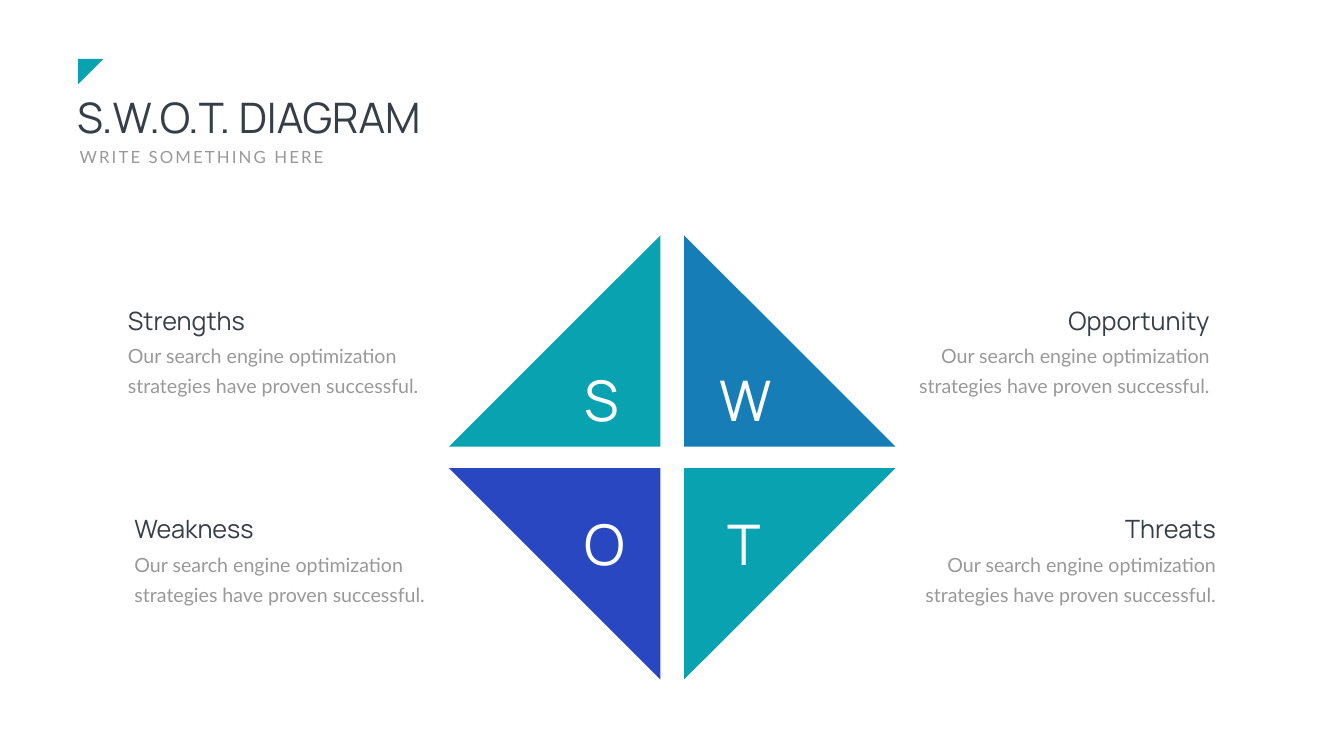
from pptx import Presentation
from pptx.dml.color import RGBColor
from pptx.enum.shapes import MSO_SHAPE
from pptx.enum.text import MSO_AUTO_SIZE, PP_ALIGN
from pptx.util import Pt

RIGHT_TRIANGLE = MSO_SHAPE.RIGHT_TRIANGLE
GROW = MSO_AUTO_SIZE.SHAPE_TO_FIT_TEXT
LEFT, CENTER, RIGHT = PP_ALIGN.LEFT, PP_ALIGN.CENTER, PP_ALIGN.RIGHT

TEAL = RGBColor(0x09, 0xA2, 0xB1)
BLUE = RGBColor(0x16, 0x7D, 0xB7)
INDIGO = RGBColor(0x28, 0x47, 0xC0)
DARK = RGBColor(0x36, 0x3E, 0x48)
GRAY = RGBColor(0x99, 0x99, 0x99)
WHITE = RGBColor(0xFF, 0xFF, 0xFF)

BODY = "Our search engine optimization strategies have proven successful."


class SlideBuilder:
    STYLES = {
        "title": {"name": "Manrope", "size": Pt(60), "color": DARK},
        "subtitle": {"name": "Lato", "size": Pt(24), "color": GRAY},
        "heading": {"name": "Manrope", "size": Pt(36), "color": DARK},
        "body": {"name": "Lato", "size": Pt(28), "color": GRAY},
        "letter": {"name": "Manrope", "size": Pt(80), "color": WHITE},
    }

    def __init__(self, page):
        self.page = page
        self.shapes = page.shapes

    def start_group(self):
        """Send the following elements into a new group."""
        self.shapes = self.page.shapes.add_group_shape().shapes

    def end_group(self):
        self.shapes = self.page.shapes

    def text(self, words, style, left, top, width, height, align=LEFT,
             wrap=False, line_spacing=None, tracking=None):
        box = self.shapes.add_textbox(Pt(left), Pt(top), Pt(width), Pt(height))
        frame = box.text_frame
        frame.word_wrap = wrap
        frame.auto_size = GROW
        para = frame.paragraphs[0]
        para.alignment = align
        if line_spacing:
            para.line_spacing = Pt(line_spacing)
        span = para.add_run()
        span.text = words
        for key, value in self.STYLES[style].items():
            if key == "color":
                span.font.color.rgb = value
            else:
                setattr(span.font, key, value)
        if tracking:
            span.font._element.set("spc", str(tracking * 100))

    def triangle(self, left, top, side, color, rotation):
        shape = self.shapes.add_shape(
            RIGHT_TRIANGLE, Pt(left), Pt(top), Pt(side), Pt(side))
        shape.shadow.inherit = False
        shape.fill.solid()
        shape.fill.fore_color.rgb = color
        shape.line.fill.background()
        shape.rotation = rotation

    def caption(self, heading, edge, top, heading_width, body_width, align):
        """Place a heading and its body against a shared outer edge."""
        def left(width):
            return edge - width if align == RIGHT else edge

        self.text(BODY, "body", left(body_width), top + 46.1, body_width, 90,
                  align, wrap=True, line_spacing=43)
        self.text(heading, "heading", left(heading_width), top,
                  heading_width, 51.1, align)


def main():
    deck = Presentation()
    deck.slide_width, deck.slide_height = Pt(1919.5), Pt(1080)
    builder = SlideBuilder(deck.slides.add_slide(deck.slide_layouts[6]))

    builder.start_group()
    builder.text("S.W.O.T. DIAGRAM", "title", 103, 126.7, 814.3, 79.9, wrap=True)
    builder.text("WRITE SOMETHING HERE", "subtitle", 106.6, 206.6, 370, 36,
                 tracking=3)
    builder.triangle(111.6, 84.2, 36, TEAL, 90)
    builder.end_group()

    upper, lower = 432, 730.1
    for caption in (
        ("Strengths", 175.7, upper, 191.5, 456.5, LEFT),
        ("Weakness", 185, lower, 203, 432, LEFT),
        ("Opportunity", 1734.5, upper, 234.7, 445, RIGHT),
        ("Threats", 1743.5, lower, 152.6, 445, RIGHT),
    ):
        builder.caption(*caption)

    diamond_left, diamond_top, side = 641.5, 336.2, 301.7
    column_step, row_step = 335.5, 332.7
    builder.start_group()
    for column, row, color, rotation in (
        (1, 0, BLUE, 0),
        (0, 0, TEAL, 270),
        (1, 1, TEAL, 90),
        (0, 1, INDIGO, 180),
    ):
        builder.triangle(diamond_left + column * column_step,
                         diamond_top + row * row_step, side, color, rotation)
    for letter, left, top, width in (
        ("W", 1018.1, 518.4, 95),
        ("S", 828, 518.4, 63.4),
        ("T", 1031.8, 724.3, 59.8),
        ("O", 823.7, 724.3, 79.9),
    ):
        builder.text(letter, "letter", left, top, width, 104.4, CENTER)

    deck.save("out.pptx")


if __name__ == "__main__":
    main()
